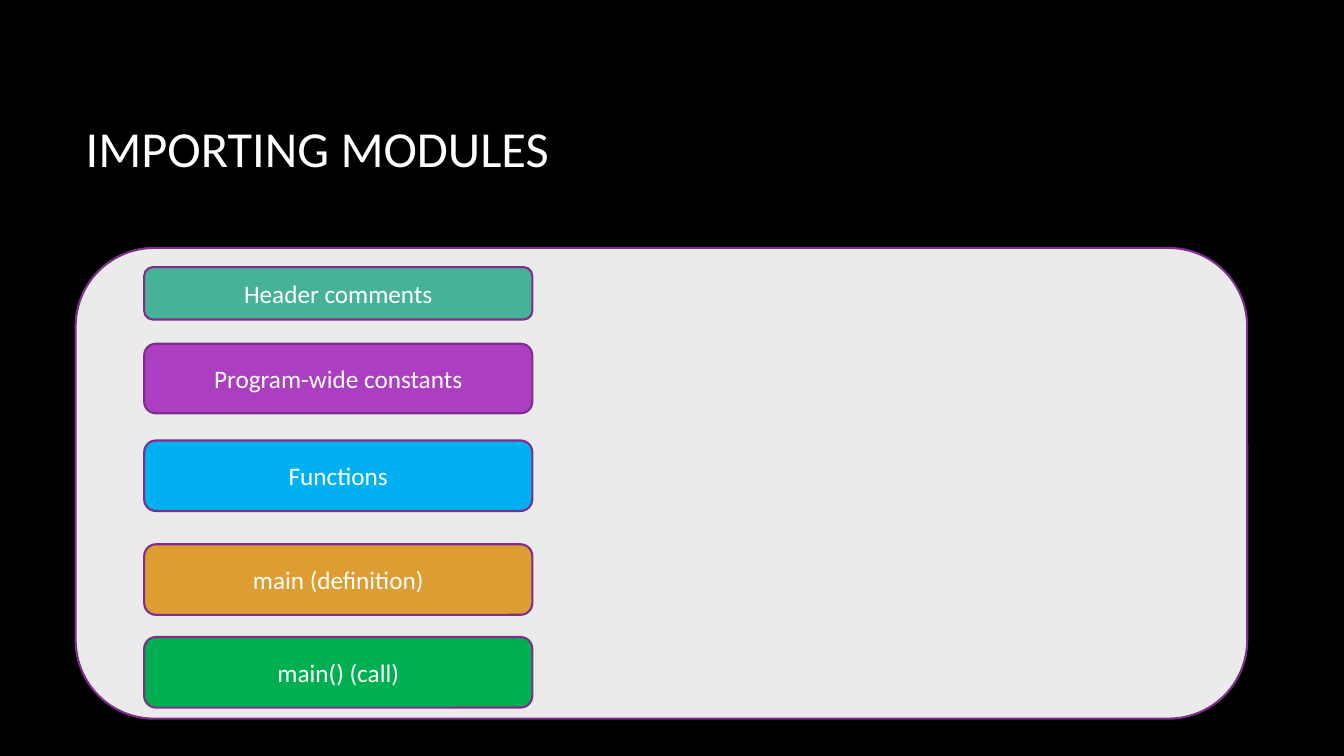
from pptx import Presentation
from pptx.dml.color import RGBColor
from pptx.enum.shapes import MSO_SHAPE
from pptx.enum.text import MSO_ANCHOR, PP_ALIGN
from pptx.util import Inches, Pt


def paint(color_format, hex_color):
    """Set a fill or font colour from a hex string."""
    color_format.rgb = RGBColor.from_string(hex_color)


def write(frame, text, size=18, color="FFFFFF", font="Calibri", align=PP_ALIGN.CENTER):
    """Write one formatted paragraph, centred vertically in its frame."""
    frame.word_wrap = True
    frame.vertical_anchor = MSO_ANCHOR.MIDDLE
    paragraph = frame.paragraphs[0]
    paragraph.alignment = align
    run = paragraph.add_run()
    run.text = text
    run.font.name = font
    run.font.size = Pt(size)
    paint(run.font.color, color)


class ModuleSlide:
    """Hold the slide and the shared style of its elements."""

    background = "000000"
    outline = "7F2E8F"
    outline_width = 1.5

    def __init__(self, deck):
        """Add a title-only slide with a plain background."""
        self.slide = deck.slides.add_slide(deck.slide_layouts[5])
        fill = self.slide.background.fill
        fill.solid()
        paint(fill.fore_color, self.background)

    def title(self, text, left, top, width, height):
        """Place and format the title placeholder."""
        heading = self.slide.shapes.title
        heading.left, heading.top = Inches(left), Inches(top)
        heading.width, heading.height = Inches(width), Inches(height)
        write(heading.text_frame, text, size=36, align=PP_ALIGN.LEFT)

    def rounded(self, left, top, width, height, fill, text=None):
        """Add an outlined rounded rectangle with an optional label."""
        block = self.slide.shapes.add_shape(
            MSO_SHAPE.ROUNDED_RECTANGLE,
            Inches(left), Inches(top), Inches(width), Inches(height))
        block.shadow.inherit = False
        block.fill.solid()
        paint(block.fill.fore_color, fill)
        paint(block.line.color, self.outline)
        block.line.width = Pt(self.outline_width)
        if text:
            write(block.text_frame, text)


def main():
    """Build and save the slide."""
    deck = Presentation()
    deck.slide_width, deck.slide_height = Inches(13.33), Inches(7.5)
    modules = ModuleSlide(deck)
    modules.title("IMPORTING MODULES", 0.75, 0.67, 11.08, 1.59)
    modules.rounded(0.75, 2.46, 11.62, 4.67, "EBEBEB")

    program_parts = [
        ("Header comments", 2.65, 0.52, "46B298"),
        ("Program-wide constants", 3.41, 0.69, "AC3EC1"),
        ("Functions", 4.37, 0.7, "00B0F0"),
        ("main (definition)", 5.4, 0.7, "DD9D31"),
        ("main() (call)", 6.32, 0.7, "00B050"),
    ]
    for label, top, height, fill in program_parts:
        modules.rounded(1.43, top, 3.85, height, fill, label)

    deck.save("out.pptx")


if __name__ == "__main__":
    main()
